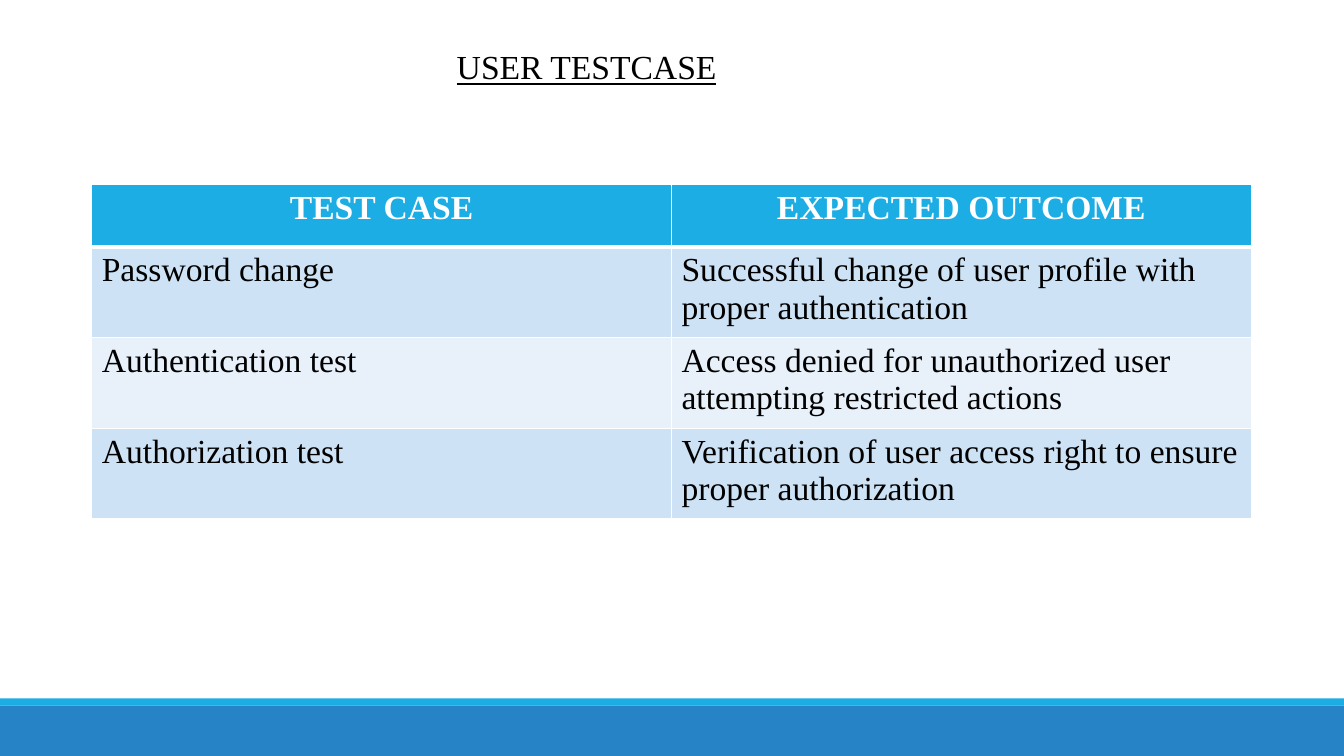
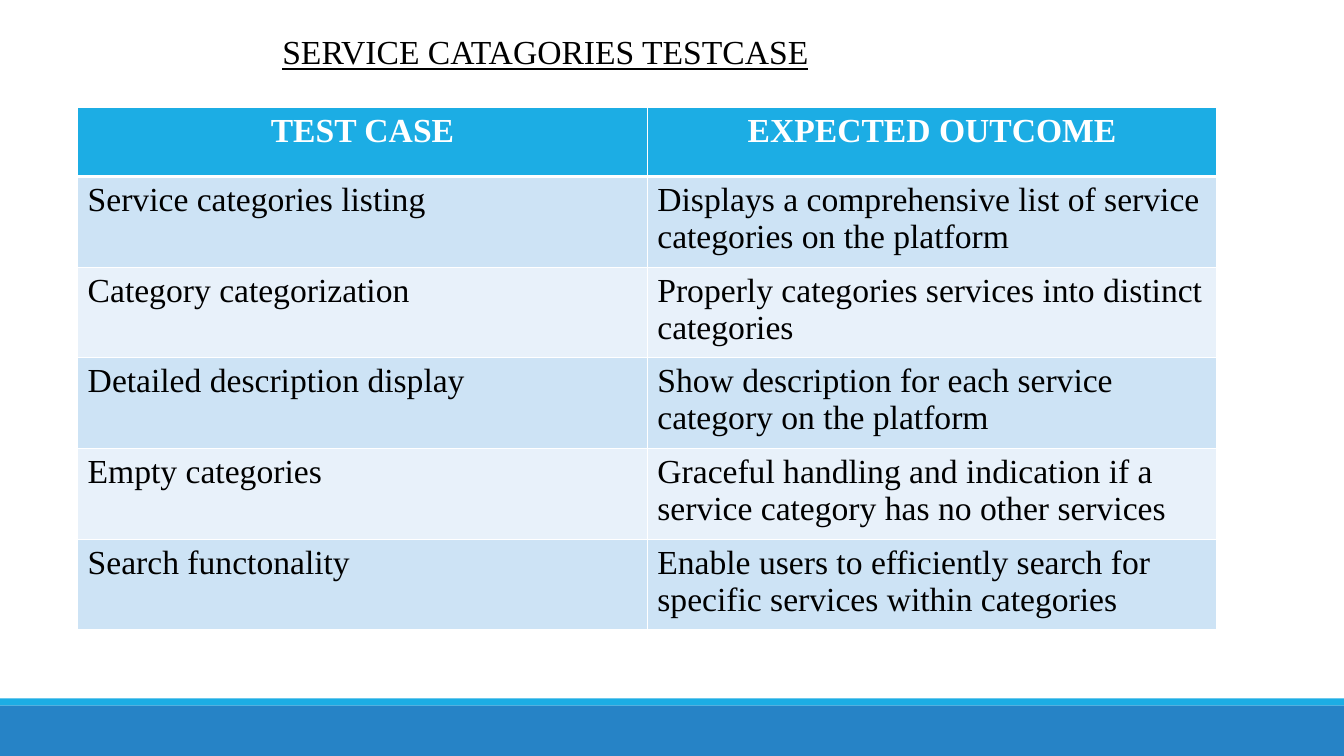
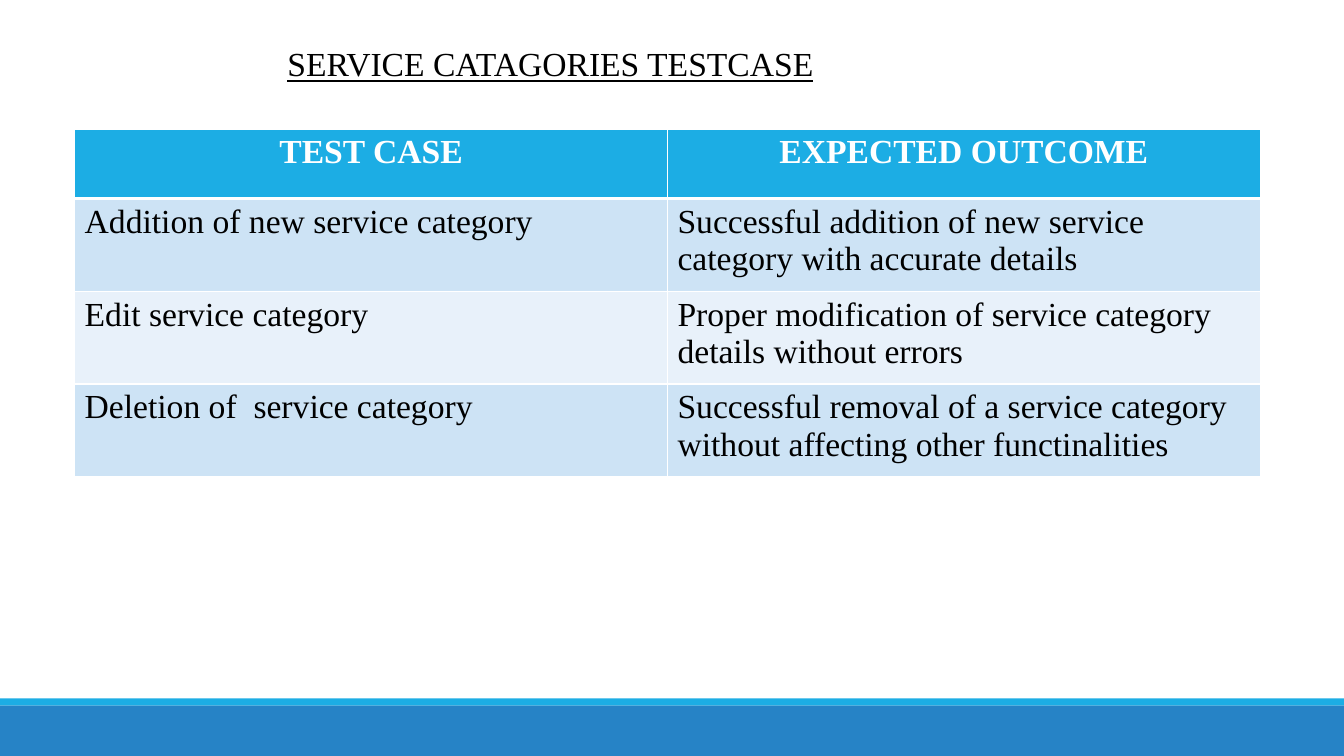
import pptx
import pptx.dml.color
import pptx.enum.shapes
import pptx.enum.text
import pptx.oxml
import pptx.oxml.ns
import pptx.util

Inches = pptx.util.Inches
Pt = pptx.util.Pt

COLORS = {
    "text": "000000",
    "white": "FFFFFF",
    "header": "1CADE4",
    "footer": "2683C6",
    "odd_row": "CDE3F5",
    "even_row": "E8F1FA",
}
FONT = "Times New Roman"
TEXT_SIZE = 24
HEADINGS = ("TEST CASE", "EXPECTED OUTCOME")


def color(name):
    return pptx.dml.color.RGBColor.from_string(COLORS[name])


class TestCaseDeck:
    """Holds the shared style and the page being built."""

    def __init__(self):
        self.deck = pptx.Presentation()
        self.deck.slide_width = Inches(13.33)
        self.deck.slide_height = Inches(7.5)
        self.page = None

    def add_page(self):
        title_only = self.deck.slide_layouts[5]
        self.page = self.deck.slides.add_slide(title_only)

    def add_master_band(self, top, height, fill):
        """Draw a full-width band and move it to the back of the master."""
        band = self.page.shapes.add_shape(
            pptx.enum.shapes.MSO_SHAPE.RECTANGLE,
            0, Inches(top), self.deck.slide_width, Inches(height))
        band.shadow.inherit = False
        band.fill.solid()
        band.fill.fore_color.rgb = color(fill)
        band.line.fill.background()
        self.deck.slide_master.shapes.element.insert(2, band.element)

    def add_span(self, para, text, fill="text", bold=False, underline=False):
        span = para.add_run()
        span.text = text
        span.font.name = FONT
        span.font.size = Pt(TEXT_SIZE)
        span.font.bold = bold
        span.font.underline = underline
        span.font.color.rgb = color(fill)

    def add_title(self, text, left, top):
        box = self.page.shapes.title
        box.left, box.top = Inches(left), Inches(top)
        box.width, box.height = Inches(7), Inches(0.5)
        frame = box.text_frame
        frame.word_wrap = True
        frame.auto_size = pptx.enum.text.MSO_AUTO_SIZE.NONE
        frame.vertical_anchor = pptx.enum.text.MSO_ANCHOR.TOP
        para = frame.paragraphs[0]
        para.alignment = pptx.enum.text.PP_ALIGN.LEFT
        self.add_span(para, text, underline=True)

    def add_borders(self, cell, top, bottom):
        """Give a cell white borders; widths are in points."""
        properties = cell._tc.get_or_add_tcPr()
        for side, width in (("L", 1), ("R", 1), ("T", top), ("B", bottom)):
            properties.append(pptx.oxml.parse_xml(
                f'<a:ln{side} {pptx.oxml.ns.nsdecls("a")} w="{Pt(width)}">'
                f'<a:solidFill><a:srgbClr val="{COLORS["white"]}"/></a:solidFill>'
                f'</a:ln{side}>'))

    def add_table(self, cases, left, top, width, header_height, row_height):
        rows = [HEADINGS, *cases]
        height = header_height + row_height * len(cases)
        table = self.page.shapes.add_table(
            len(rows), len(HEADINGS), Inches(left), Inches(top),
            Inches(width), Inches(height)).table
        for index, texts in enumerate(rows):
            is_header = index == 0
            table.rows[index].height = Inches(header_height if is_header else row_height)
            fill = "header" if is_header else "odd_row" if index % 2 else "even_row"
            for cell, text in zip(table.rows[index].cells, texts):
                self.add_borders(cell, top=3 if index == 1 else 1,
                                 bottom=3 if is_header else 1)
                cell.fill.solid()
                cell.fill.fore_color.rgb = color(fill)
                para = cell.text_frame.paragraphs[0]
                if is_header:
                    para.alignment = pptx.enum.text.PP_ALIGN.CENTER
                self.add_span(para, text, "white" if is_header else "text", bold=is_header)


# Each page: title with its place, table with its place and row heights
PAGES = [
    {
        "title": ("USER TESTCASE", 4.43, 0.41),
        "table": (0.91, 1.83, 11.5, 0.62, 0.9),
        "cases": [
            ("Password change",
             "Successful change of user profile with proper authentication"),
            ("Authentication test",
             "Access denied for unauthorized user attempting restricted actions"),
            ("Authorization test",
             "Verification of user access right to ensure proper authorization"),
        ],
    },
    {
        "title": ("SERVICE CATAGORIES TESTCASE", 2.7, 0.26),
        "table": (0.77, 1.07, 11.3, 0.68, 0.9),
        "cases": [
            ("Service categories listing",
             "Displays a comprehensive list of service categories on the platform"),
            ("Category categorization",
             "Properly categories services into distinct categories"),
            ("Detailed description display",
             "Show description for each service category on the platform"),
            ("Empty categories",
             "Graceful handling and indication if a service category has no other services"),
            ("Search functonality",
             "Enable users to efficiently search for specific services within categories"),
        ],
    },
    {
        "title": ("SERVICE CATAGORIES TESTCASE", 2.75, 0.38),
        "table": (0.74, 1.28, 11.76, 0.69, 0.92),
        "cases": [
            ("Addition of new service category",
             "Successful addition of new service category with accurate details"),
            ("Edit service category",
             "Proper modification of service category details without errors"),
            ("Deletion of  service category",
             "Successful removal of a service category without affecting other functinalities"),
        ],
    },
]


def main():
    builder = TestCaseDeck()
    for content in PAGES:
        builder.add_page()
        builder.add_title(*content["title"])
        builder.add_table(content["cases"], *content["table"])

    # Footer bands shared by every page
    builder.add_master_band(7, 0.5, "footer")
    builder.add_master_band(6.93, 0.07, "header")
    builder.deck.save("out.pptx")


if __name__ == "__main__":
    main()
